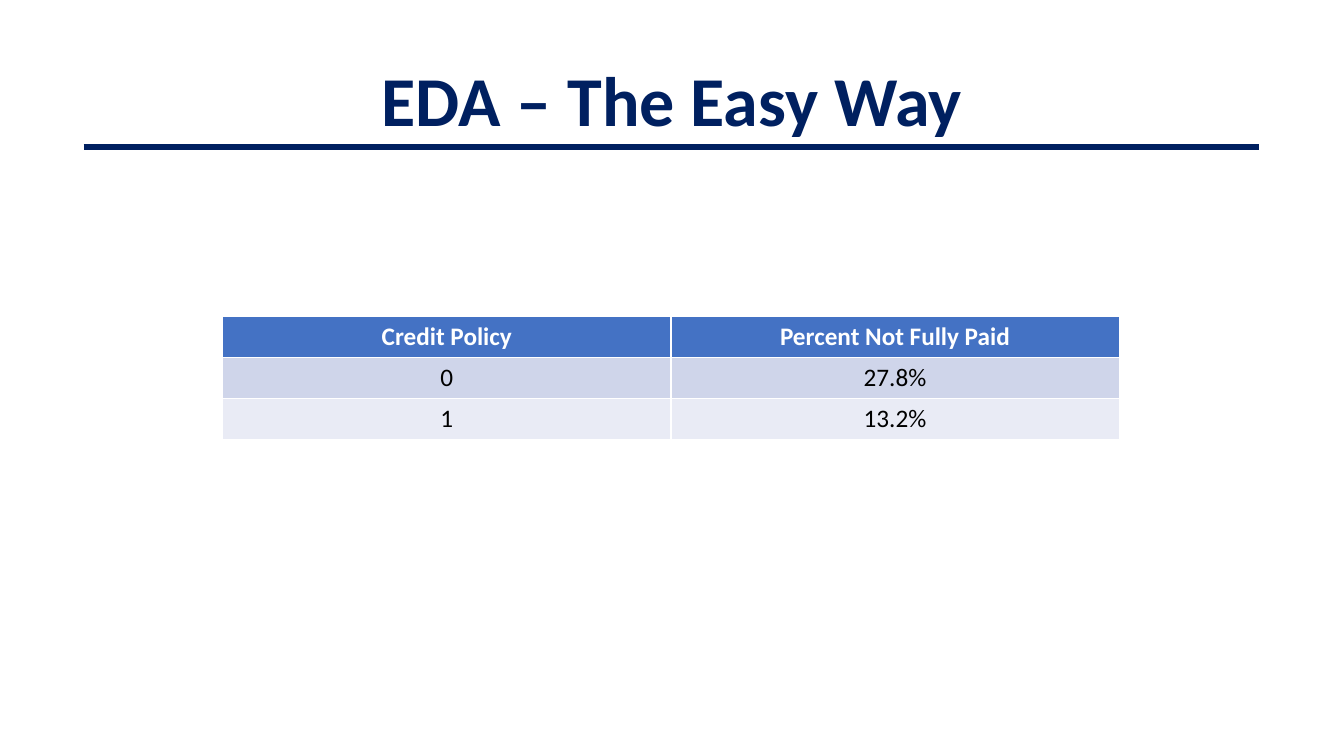
"""Build the slide on exploratory analysis: a ruled title above a credit policy table."""
from dataclasses import dataclass

from lxml.etree import SubElement
from pptx import Presentation
from pptx.dml.color import RGBColor
from pptx.enum.shapes import MSO_CONNECTOR
from pptx.enum.text import MSO_ANCHOR, MSO_AUTO_SIZE, PP_ALIGN
from pptx.oxml.ns import qn
from pptx.util import Inches, Pt


@dataclass(frozen=True)
class Theme:
    font: str = "Calibri"
    navy: RGBColor = RGBColor(0x00, 0x20, 0x60)
    white: RGBColor = RGBColor(0xFF, 0xFF, 0xFF)
    black: RGBColor = RGBColor(0x00, 0x00, 0x00)
    row_fills: tuple = (
        RGBColor(0x44, 0x72, 0xC4),
        RGBColor(0xCF, 0xD5, 0xEA),
        RGBColor(0xE9, 0xEB, 0xF5),
    )
    title_size: Pt = Pt(50)
    table_size: Pt = Pt(18)
    rule_width: Pt = Pt(4.5)


def write_centred(frame, text, color, **font_format):
    para = frame.paragraphs[0]
    para.alignment = PP_ALIGN.CENTER
    span = para.add_run()
    span.text = text
    span.font.color.rgb = color
    for name, value in font_format.items():
        setattr(span.font, name, value)


theme = Theme()
deck = Presentation()
deck.slide_width, deck.slide_height = Inches(13.33), Inches(7.5)
page = deck.slides.add_slide(deck.slide_layouts[5])

title = page.shapes.title
title_place = {"left": 0, "top": 0.51, "width": 13.33, "height": 0.94}
for name, value in title_place.items():
    setattr(title, name, Inches(value))
frame_format = {
    "word_wrap": True,
    "auto_size": MSO_AUTO_SIZE.NONE,
    "vertical_anchor": MSO_ANCHOR.TOP,
}
for name, value in frame_format.items():
    setattr(title.text_frame, name, value)
write_centred(title.text_frame, "EDA – The Easy Way", theme.navy,
              name=theme.font, size=theme.title_size, bold=True)

rule = page.shapes.add_connector(
    MSO_CONNECTOR.STRAIGHT, Inches(0.83), Inches(1.46), Inches(12.49), Inches(1.46))
rule.line.color.rgb = theme.navy
rule.line.width = theme.rule_width
SubElement(rule.element.spPr, qn("a:effectLst"))

policy_rows = [
    ("Credit Policy", "Percent Not Fully Paid"),
    ("0", "27.8%"),
    ("1", "13.2%"),
]
table = page.shapes.add_table(
    len(policy_rows), len(policy_rows[0]),
    Inches(2.21), Inches(3.14), Inches(8.89), Inches(1.22)).table

for row_index, (values, fill) in enumerate(zip(policy_rows, theme.row_fills)):
    is_header = row_index == 0
    for column_index, text in enumerate(values):
        cell = table.cell(row_index, column_index)
        cell.fill.solid()
        cell.fill.fore_color.rgb = fill
        write_centred(cell.text_frame, text, theme.white if is_header else theme.black,
                      name=theme.font, size=theme.table_size, bold=is_header)

deck.save("out.pptx")
